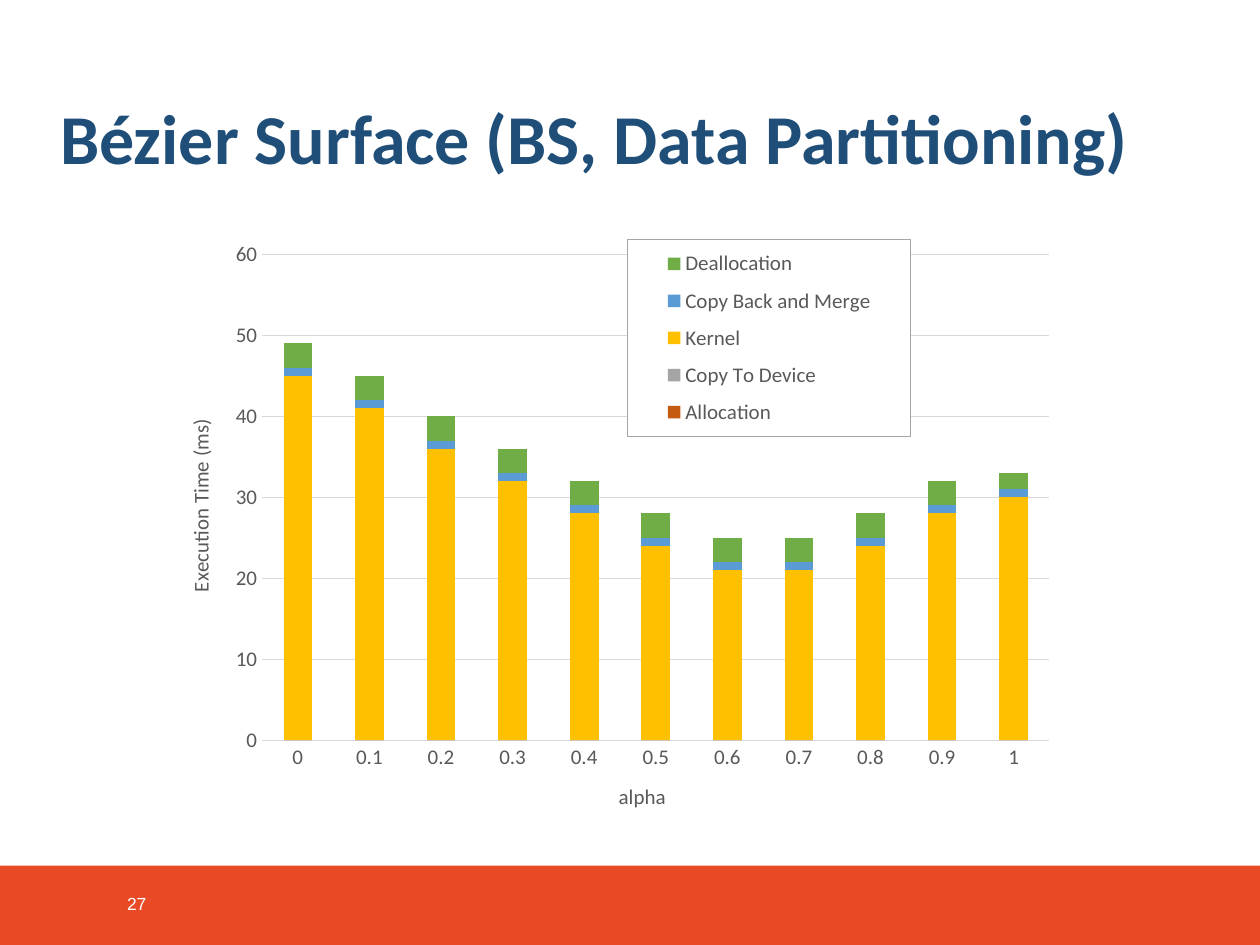
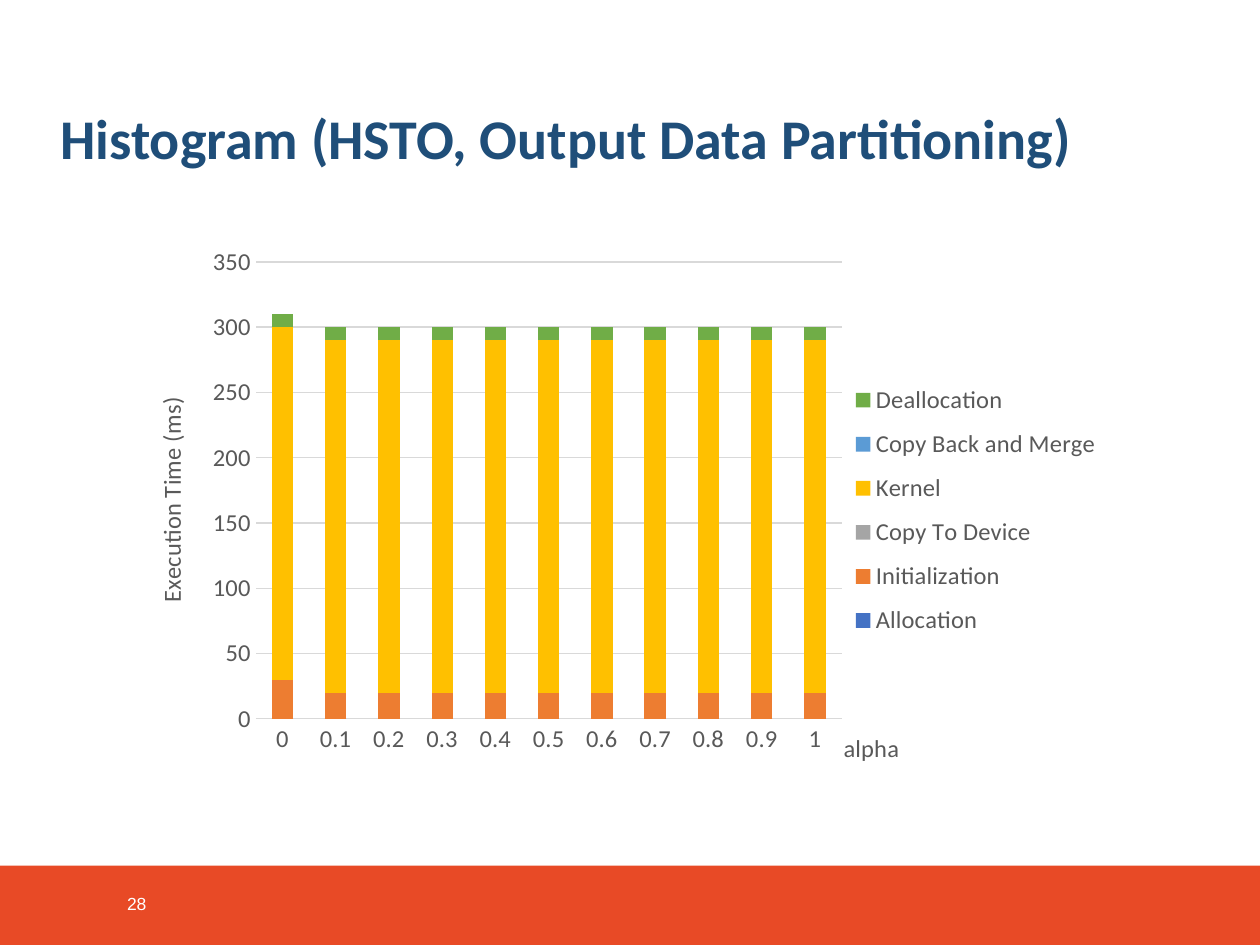
from dataclasses import dataclass

from lxml import etree
from pptx import Presentation
from pptx.chart.data import CategoryChartData
from pptx.dml.color import RGBColor
from pptx.enum.chart import XL_CHART_TYPE, XL_LEGEND_POSITION, XL_TICK_MARK
from pptx.enum.shapes import MSO_SHAPE
from pptx.enum.text import MSO_ANCHOR
from pptx.oxml import parse_xml
from pptx.oxml.ns import nsdecls, qn
from pptx.util import Inches, Pt

COLUMN_STACKED = XL_CHART_TYPE.COLUMN_STACKED
LEGEND_RIGHT = XL_LEGEND_POSITION.RIGHT
NO_TICK = XL_TICK_MARK.NONE
RECTANGLE = MSO_SHAPE.RECTANGLE
MIDDLE = MSO_ANCHOR.MIDDLE

WHITE = RGBColor(0xFF, 0xFF, 0xFF)
BAND_ORANGE = RGBColor(0xE8, 0x4A, 0x26)
TITLE_BLUE = RGBColor(0x1F, 0x4E, 0x79)
TEXT_GRAY = RGBColor(0x59, 0x59, 0x59)
GRID_GRAY = RGBColor(0xD9, 0xD9, 0xD9)
BLUE = RGBColor(0x44, 0x72, 0xC4)
RUST = RGBColor(0xC5, 0x5A, 0x11)
ORANGE = RGBColor(0xED, 0x7D, 0x31)
GRAY = RGBColor(0xA5, 0xA5, 0xA5)
GOLD = RGBColor(0xFF, 0xC0, 0x00)
SKY = RGBColor(0x5B, 0x9B, 0xD5)
GREEN = RGBColor(0x70, 0xAD, 0x47)

HEAD_FONT = "Calibri"
NUMBER_FONT = "Arial"
ALPHAS = ["0", *(f"0.{i}" for i in range(1, 10)), "1"]
N = len(ALPHAS)


@dataclass
class Stage:
    name: str
    color: RGBColor
    times: list[int]


@dataclass
class ChartSlide:
    """All places are in inches; those inside the chart count from its corner."""
    number: int
    title: str
    title_size: int
    box: tuple[float, ...]
    font_size: int
    maximum: int
    step: int
    plot: tuple[float, ...]
    legend: tuple[float, ...]
    legend_boxed: bool
    alpha_at: tuple[float, float]
    time_at: tuple[float, float]
    stages: list[Stage]


SLIDES = [
    ChartSlide(
        number=27, title="Bézier Surface (BS, Data Partitioning)", title_size=40,
        box=(1.45, 1.78, 7.08, 4.7), font_size=12, maximum=60, step=10,
        plot=(0.63, 0.24, 6.25, 3.89),
        legend=(3.53, 0.12, 2.25, 1.58), legend_boxed=True,
        alpha_at=(3.43, 4.44), time_at=(0, 1.54),
        stages=[
            Stage("Allocation", RUST, [0] * N),
            Stage("Copy To Device", GRAY, [0] * N),
            Stage("Kernel", GOLD, [45, 41, 36, 32, 28, 24, 21, 21, 24, 28, 30]),
            Stage("Copy Back and Merge", SKY, [1] * N),
            Stage("Deallocation", GREEN, [3] * (N - 1) + [2]),
        ]),
    ChartSlide(
        number=28, title="Histogram (HSTO, Output Data Partitioning)", title_size=32,
        box=(1.14, 1.85, 7.66, 4.27), font_size=14, maximum=350, step=50,
        plot=(0.89, 0.23, 4.65, 3.64),
        legend=(5.55, 1.1, 2.11, 2.22), legend_boxed=False,
        alpha_at=(5.52, 3.93), time_at=(0.05, 1.28),
        stages=[
            Stage("Allocation", BLUE, [0] * N),
            Stage("Initialization", ORANGE, [30] + [20] * (N - 1)),
            Stage("Copy To Device", GRAY, [0] * N),
            Stage("Kernel", GOLD, [270] * N),
            Stage("Copy Back and Merge", SKY, [0] * N),
            Stage("Deallocation", GREEN, [10] * N),
        ]),
]


def style_font(font, size: int, color: RGBColor, name: str = HEAD_FONT,
               bold: bool = False) -> None:
    font.size, font.name, font.bold = Pt(size), name, bold
    font.color.rgb = color


def add_text(s, box: tuple[float, ...], text: str, size: int, color: RGBColor,
             name: str = HEAD_FONT, bold: bool = False, spacing: float = 1.0) -> None:
    tf = s.shapes.add_textbox(*map(Inches, box)).text_frame
    tf.word_wrap = True
    tf.vertical_anchor = MIDDLE
    tf.text = text
    p = tf.paragraphs[0]
    p.line_spacing = spacing
    style_font(p.runs[0].font, size, color, name, bold)


def add_frame(s, title: str, title_size: int, number: int) -> None:
    """Draw the footer band, slide number and title."""
    band = s.shapes.add_shape(RECTANGLE, 0, Inches(6.87), Inches(10), Inches(0.63))
    band.shadow.inherit = False
    band.fill.solid()
    band.fill.fore_color.rgb = BAND_ORANGE
    band.line.fill.background()
    add_text(s, (0.91, 6.97, 0.52, 0.4), str(number), 10, WHITE, NUMBER_FONT)
    add_text(s, (0.38, 0.4, 9.19, 1.45), title, title_size, TITLE_BLUE,
             bold=True, spacing=0.9)


def set_layout(parent, index: int, place: tuple[float, ...], box: tuple[float, ...],
               inner: bool = False) -> None:
    """Fix a chart part at x, y and, if given, width, height."""
    for old in parent.findall(qn("c:layout")):
        parent.remove(old)
    layout = etree.Element(qn("c:layout"))
    manual = etree.SubElement(layout, qn("c:manualLayout"))
    width, height = box[2:]
    fractions = [length / side for length, side in zip(place, (width, height) * 2)]
    settings = [("layoutTarget", "inner")] if inner else []
    settings += [("xMode", "edge"), ("yMode", "edge")]
    settings += zip("xywh", map(str, fractions))
    for tag, value in settings:
        etree.SubElement(manual, qn(f"c:{tag}")).set("val", value)
    parent.insert(index, layout)


def style_axis(axis, title: str, title_at: tuple[float, float], spec: ChartSlide,
               rotation: int = 0) -> None:
    axis.major_tick_mark = axis.minor_tick_mark = NO_TICK
    style_font(axis.tick_labels.font, spec.font_size, TEXT_GRAY)
    axis_title = axis.axis_title
    tf = axis_title.text_frame
    tf.text = title
    style_font(tf.paragraphs[0].runs[0].font, spec.font_size, TEXT_GRAY)
    body = next(axis_title._element.iter(qn("a:bodyPr")))
    body.set("rot", str(rotation * 60000))
    body.set("vert", "horz")
    set_layout(axis_title._element, 1, title_at, spec.box)


def add_legend(chart, spec: ChartSlide) -> None:
    chart.has_legend = True
    legend = chart.legend
    legend.position = LEGEND_RIGHT
    legend.include_in_layout = False
    style_font(legend.font, spec.font_size, TEXT_GRAY)
    set_layout(legend._element, 1, spec.legend, spec.box)
    if spec.legend_boxed:
        legend._element.find(qn("c:txPr")).addprevious(parse_xml(
            f'<c:spPr {nsdecls("c", "a")}>'
            f'<a:solidFill><a:srgbClr val="{WHITE}"/></a:solidFill>'
            f'<a:ln w="6350"><a:solidFill><a:srgbClr val="{GRAY}"/></a:solidFill></a:ln>'
            '</c:spPr>'))


def add_time_chart(s, spec: ChartSlide) -> None:
    data = CategoryChartData()
    data.categories = ALPHAS
    for stage in spec.stages:
        data.add_series(stage.name, stage.times)
    chart = s.shapes.add_chart(COLUMN_STACKED, *map(Inches, spec.box), data).chart
    chart.has_title = False
    style_font(chart.font, spec.font_size, TEXT_GRAY)

    plot = chart.plots[0]
    plot.gap_width, plot.overlap = 150, 100
    plot.vary_by_categories = False
    for series, stage in zip(plot.series, spec.stages):
        series.format.fill.solid()
        series.format.fill.fore_color.rgb = stage.color

    alpha_axis, time_axis = chart.category_axis, chart.value_axis
    style_axis(alpha_axis, "alpha", spec.alpha_at, spec)
    style_axis(time_axis, "Execution Time (ms)", spec.time_at, spec, -90)
    time_axis.minimum_scale, time_axis.maximum_scale = 0, spec.maximum
    time_axis.major_unit = spec.step
    time_axis.format.line.fill.background()
    for line in (alpha_axis.format.line, time_axis.major_gridlines.format.line):
        line.color.rgb = GRID_GRAY
        line.width = Pt(0.75)

    add_legend(chart, spec)
    plot_area = next(chart._chartSpace.iter(qn("c:plotArea")))
    set_layout(plot_area, 0, spec.plot, spec.box, inner=True)


def main() -> None:
    prs = Presentation()
    prs.slide_width, prs.slide_height = Inches(10), Inches(7.5)
    for spec in SLIDES:
        s = prs.slides.add_slide(prs.slide_layouts[6])
        add_frame(s, spec.title, spec.title_size, spec.number)
        add_time_chart(s, spec)
    prs.save("out.pptx")


if __name__ == "__main__":
    main()
